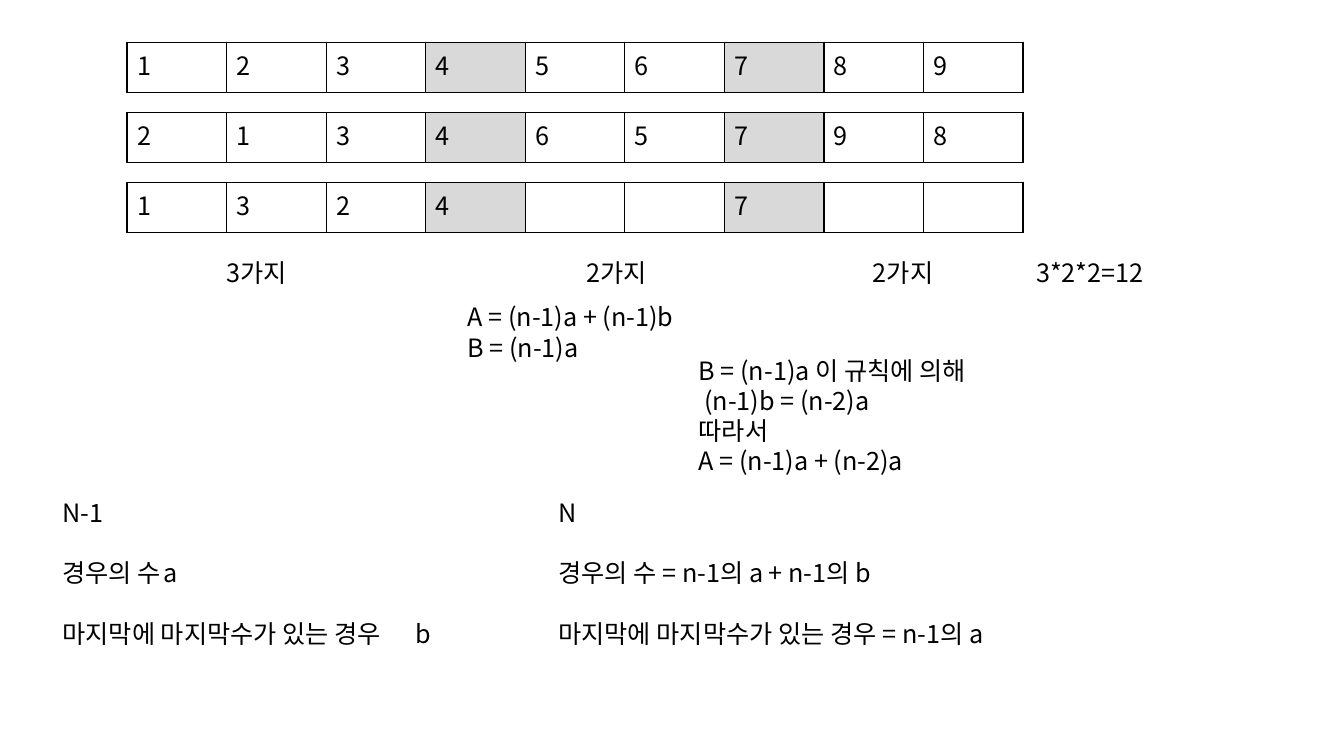
from dataclasses import dataclass

from lxml import etree
from pptx import Presentation
from pptx import util as u
from pptx.dml import color
from pptx.enum import text as t
from pptx.oxml import ns


@dataclass(frozen=True)
class Theme:
    """Colours, type and line sizes."""
    font: str = "Noto Sans CJK KR"
    size: float = 18
    lead: float = 21.6
    ink: str = "000000"
    paper: str = "FFFFFF"
    mark: str = "D9D9D9"
    rule: float = 1


class Board:
    """A slide with a grid: one column per cell, one row per table."""
    LEFT, TOP = 1.26, 0.42
    COL, ROW = 8.89 / 9, 1.39 / 2

    def __init__(self, slide, theme):
        """Keep the slide and its style."""
        self.slide, self.theme = slide, theme

    def spot(self, col, row):
        """Turn a grid place into slide lengths."""
        return (u.Inches(self.LEFT + col * self.COL),
                u.Inches(self.TOP + row * self.ROW))

    def style(self, frame, gap=0):
        """Format every paragraph; gap is counted in lines."""
        th = self.theme
        for i, para in enumerate(frame.paragraphs):
            para.alignment = t.PP_ALIGN.LEFT
            para.line_spacing = u.Pt(th.lead)
            para.space_before = u.Pt(gap * th.lead if i else 0)
            para.space_after = u.Pt(0)
            for run in para.runs:
                run.font.name, run.font.size = th.font, u.Pt(th.size)
                run.font.color.rgb = color.RGBColor.from_string(th.ink)
                east = etree.SubElement(run.font._element, ns.qn("a:ea"))
                east.set("typeface", th.font)

    def text(self, words, col, row, wide, high=0.4):
        """Add a text box, one paragraph per line."""
        box = self.slide.shapes.add_textbox(
            *self.spot(col, row), u.Inches(wide), u.Inches(high))
        box.text_frame.word_wrap = True
        box.text_frame.text = words
        self.style(box.text_frame)

    def list(self, slot, lines, col, row, wide, tab=None):
        """Fill a body placeholder with spaced lines, without bullets."""
        body = self.slide.placeholders[slot]
        body.left, body.top = self.spot(col, row)
        body.width, body.height = u.Inches(wide), u.Inches(1.62)
        frame = body.text_frame
        frame.text = "\n".join(lines)
        frame.word_wrap = True
        frame.auto_size = t.MSO_AUTO_SIZE.NONE
        frame.vertical_anchor = t.MSO_ANCHOR.TOP
        self.style(frame, gap=1)
        for para in frame.paragraphs:
            prop = para._p.get_or_add_pPr()
            prop.set("marL", "0")
            prop.set("indent", "0")
            etree.SubElement(prop, ns.qn("a:buNone"))
            if tab:
                tabs = etree.SubElement(prop, ns.qn("a:tabLst"))
                etree.SubElement(tabs, ns.qn("a:tab"),
                                 pos=str(u.Inches(tab)), algn="l")

    def edge(self, cell):
        """Draw the four borders of a cell, beneath its fill in the XML."""
        prop = cell._tc.get_or_add_tcPr()
        for i, side in enumerate(("lnL", "lnR", "lnT", "lnB")):
            line = etree.Element(ns.qn("a:" + side),
                                 w=str(u.Pt(self.theme.rule)))
            fill = etree.SubElement(line, ns.qn("a:solidFill"))
            etree.SubElement(fill, ns.qn("a:srgbClr"), val=self.theme.ink)
            prop.insert(i, line)

    def strip(self, digits, row, fixed):
        """Add a one-row table, shading the fixed seats."""
        grid = self.slide.shapes.add_table(
            1, len(digits), *self.spot(0, row),
            u.Inches(len(digits) * self.COL), u.Inches(0.5)).table
        grid.first_row = grid.horz_banding = False
        for i, digit in enumerate(digits):
            cell = grid.cell(0, i)
            cell.text = digit.strip()
            cell.vertical_anchor = t.MSO_ANCHOR.MIDDLE
            cell.fill.solid()
            tone = self.theme.mark if i in fixed else self.theme.paper
            cell.fill.fore_color.rgb = color.RGBColor.from_string(tone)
            self.edge(cell)
            self.style(cell.text_frame)


def main():
    """Build and save the slide."""
    deck = Presentation()
    deck.slide_width, deck.slide_height = u.Inches(13.33), u.Inches(7.5)
    slide = deck.slides.add_slide(deck.slide_layouts[3])
    title = slide.shapes.title._element
    title.getparent().remove(title)
    board = Board(slide, Theme())

    for row, seats in enumerate(("123456789", "213465798", "1324  7  ")):
        board.strip(seats, row, fixed=(3, 6))

    for words, col, wide in (("3가지", 0.9, 1.21), ("2가지", 4.51, 1.21),
                             ("2가지", 7.39, 1.21), ("3*2*2=12", 9.03, 1.74)):
        board.text(words, col, 3, wide)

    board.text("A = (n-1)a + (n-1)b\nB = (n-1)a", 3.32, 3.63, 5.23, 0.71)
    board.text("B = (n-1)a 이 규칙에 의해\n (n-1)b = (n-2)a\n따라서\n"
               "A = (n-1)a + (n-2)a", 5.64, 4.39, 5.23, 1.31)

    count, last = "경우의 수", "마지막에 마지막수가 있는 경우"
    board.list(1, ("N-1", count + "\ta", last + "\tb"),
               -0.75, 6.42, 4.47, tab=4)
    board.list(2, ("N", count + " = n-1의 a + n-1의 b", last + " = n-1의 a"),
               4.23, 6.42, 5.23)
    deck.save("out.pptx")


main()
